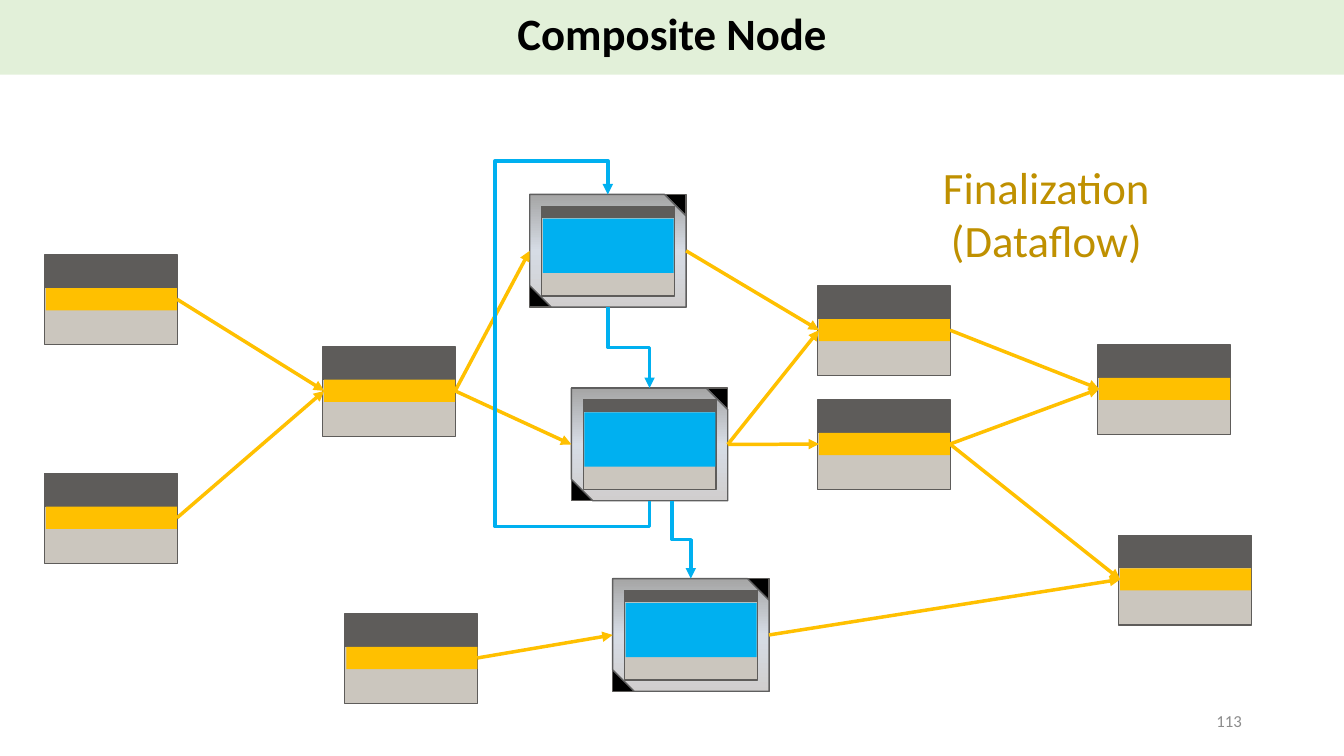
from copy import deepcopy

from lxml.etree import SubElement
from pptx import Presentation
from pptx.dml.color import RGBColor
from pptx.enum.shapes import MSO_CONNECTOR, MSO_SHAPE
from pptx.enum.text import MSO_ANCHOR, PP_ALIGN
from pptx.oxml.ns import qn
from pptx.util import Cm, Pt

COLORS = {
    "banner": "E2F0D9", "title": "000000", "caption": "BF9000", "number": "8C8C8C",
    "dataflow": "FFC000", "control": "00B0F0", "header": "5E5C5A", "body": "CBC6BE",
    "corner": "000000", "frame": "5F5F5F",
}
FRAME_GRADIENT = [(0, "D0CECE"), (0.5, "D6DCE5"), (1, "A5A5A5")]

# Left and top of each node in centimetres
NODES = {
    "source_a": (1.12, 6.43), "source_b": (1.12, 11.94),
    "merge": (8.13, 8.74), "side_input": (8.69, 15.47),
    "upper": (20.6, 7.21), "lower": (20.6, 10.08),
    "sink_a": (27.66, 8.69), "sink_b": (28.19, 13.49),
}
COMPOSITES = {"first": (13.35, 4.9), "second": (14.4, 9.78), "third": (15.44, 14.58)}
DATAFLOW = [
    ("source_a", "merge"), ("source_b", "merge"), ("merge", "first"),
    ("merge", "second"), ("side_input", "third"), ("first", "upper"),
    ("second", "upper"), ("second", "lower"), ("third", "sink_b"),
    ("upper", "sink_a"), ("lower", "sink_a"), ("lower", "sink_b"),
]
NODE_WIDTH, NODE_HEIGHT, NODE_HEADER = 3.35, 2.26, 0.81
BAND_WIDTH, BAND_HEIGHT = 3.3, 0.56
FRAME_WIDTH, FRAME_HEIGHT, FRAME_INSET = 3.94, 2.84, 0.3
LEFT_SITE, RIGHT_SITE = 1, 3


def rgb(name):
    return RGBColor.from_string(COLORS[name])


def add_block(slide, left, top, width, height, fill=None, outline=None,
              preset=MSO_SHAPE.RECTANGLE):
    block = slide.shapes.add_shape(preset, Cm(left), Cm(top), Cm(width), Cm(height))
    block.shadow.inherit = False
    if fill:
        block.fill.solid()
        block.fill.fore_color.rgb = rgb(fill)
    if outline:
        block.line.color.rgb = rgb(outline)
        block.line.width = Pt(1)
    else:
        block.line.fill.background()
    return block


def add_node(slide, left, top):
    """Draw a dataflow node and return its band, where arrows attach."""
    add_block(slide, left, top + NODE_HEADER, NODE_WIDTH, NODE_HEIGHT - NODE_HEADER,
              "body", "header")
    add_block(slide, left, top, NODE_WIDTH, NODE_HEADER, "header", "header")
    return add_block(slide, left + 0.04, top + NODE_HEADER + 0.02,
                     BAND_WIDTH, BAND_HEIGHT, "dataflow")


def apply_frame_gradient(frame):
    frame.fill.gradient()
    frame.fill.gradient_angle = 90
    first_stop = frame._element.spPr.find(".//" + qn("a:gs"))
    first_stop.addnext(deepcopy(first_stop))
    for stop, (position, color) in zip(frame.fill.gradient_stops, FRAME_GRADIENT):
        stop.position = position
        stop.color.rgb = RGBColor.from_string(color)


def add_composite(slide, left, top):
    """Draw a framed node and return its outer block, where arrows attach."""
    corners = add_block(slide, left, top, FRAME_WIDTH, FRAME_HEIGHT, "corner", "header")
    frame = add_block(slide, left, top, FRAME_WIDTH, FRAME_HEIGHT, outline="frame",
                      preset=MSO_SHAPE.SNIP_2_DIAG_RECTANGLE)
    frame.adjustments[0], frame.adjustments[1] = 0, 0.191
    apply_frame_gradient(frame)
    inner_left, inner_top = left + FRAME_INSET, top + FRAME_INSET
    add_block(slide, inner_left, inner_top, NODE_WIDTH, NODE_HEIGHT, "body", "header")
    add_block(slide, inner_left, inner_top, NODE_WIDTH, 0.28, "header", "header")
    add_block(slide, inner_left + 0.03, inner_top + 0.31, BAND_WIDTH, 1.37, "control")
    return corners


def style_arrow(arrow, color):
    arrow.line.color.rgb = rgb(color)
    arrow.line.width = Pt(2.5)
    SubElement(arrow.line._get_or_add_ln(), qn("a:tailEnd"), type="triangle")
    SubElement(arrow._element.spPr, qn("a:effectLst"))


def add_dataflow_arrow(slide, source, target):
    arrow = slide.shapes.add_connector(MSO_CONNECTOR.STRAIGHT, 0, 0, 0, 0)
    arrow.begin_connect(source, RIGHT_SITE)
    arrow.end_connect(target, LEFT_SITE)
    style_arrow(arrow, "dataflow")


def add_control_arrow(slide, start, end, bends=(0.5,)):
    """Draw an elbow arrow that leaves and arrives vertically."""
    (start_x, start_y), (end_x, end_y) = start, end
    center_x, center_y = (start_x + end_x) / 2, (start_y + end_y) / 2
    half_length, half_shift = abs(end_y - start_y) / 2, abs(end_x - start_x) / 2
    arrow = slide.shapes.add_connector(
        MSO_CONNECTOR.ELBOW,
        Cm(center_x + half_length), Cm(center_y - half_shift),
        Cm(center_x - half_length), Cm(center_y + half_shift))
    properties = arrow._element.spPr
    quarter_turns = 3 if end_y > start_y else 1
    properties.find(qn("a:xfrm")).set("rot", str(quarter_turns * 5400000))
    geometry = properties.find(qn("a:prstGeom"))
    geometry.set("prst", f"bentConnector{len(bends) + 2}")
    guides = geometry.find(qn("a:avLst"))
    for number, bend in enumerate(bends, 1):
        SubElement(guides, qn("a:gd"), name=f"adj{number}",
                   fmla=f"val {round(bend * 100000)}")
    style_arrow(arrow, "control")


def add_label(slide, text, box, size, color, align, anchor=MSO_ANCHOR.MIDDLE,
              bold=False, line_spacing=None):
    frame = slide.shapes.add_textbox(*map(Cm, box)).text_frame
    frame.word_wrap = True
    frame.vertical_anchor = anchor
    paragraph = frame.paragraphs[0]
    paragraph.alignment = align
    paragraph.line_spacing = line_spacing
    run = paragraph.add_run()
    run.text = text
    run.font.name = "Calibri"
    run.font.size = Pt(size)
    run.font.bold = bold
    run.font.color.rgb = rgb(color)


def add_control_flow(slide):
    top_of, bottom_of = {}, {}
    for name, (left, top) in COMPOSITES.items():
        center = left + FRAME_WIDTH / 2
        top_of[name] = (center, top)
        bottom_of[name] = (center, top + FRAME_HEIGHT)
    second_exit = (16.94, bottom_of["second"][1])
    add_control_arrow(slide, bottom_of["first"], top_of["second"])
    add_control_arrow(slide, second_exit, top_of["third"])
    add_control_arrow(slide, bottom_of["second"], top_of["first"], (-0.084, 3.705, 1.11))


def main():
    presentation = Presentation()
    presentation.slide_width, presentation.slide_height = Cm(33.87), Cm(19.05)
    slide = presentation.slides.add_slide(presentation.slide_layouts[6])

    ports = {name: add_node(slide, *place) for name, place in NODES.items()}
    for name, place in COMPOSITES.items():
        ports[name] = add_composite(slide, *place)
    for source, target in DATAFLOW:
        add_dataflow_arrow(slide, ports[source], ports[target])
    add_control_flow(slide)

    add_block(slide, 0, 0, 33.87, 1.88, "banner")
    add_label(slide, "Composite Node", (11.63, -0.03, 10.62, 1.88), 32, "title",
              PP_ALIGN.CENTER, bold=True, line_spacing=0.9)
    add_label(slide, "Finalization (Dataflow)", (22.28, 3.89, 8.18, 3), 32, "caption",
              PP_ALIGN.CENTER, MSO_ANCHOR.TOP)
    add_label(slide, "113", (23.93, 17.65, 7.62, 1.02), 12, "number", PP_ALIGN.RIGHT)
    presentation.save("out.pptx")


if __name__ == "__main__":
    main()
